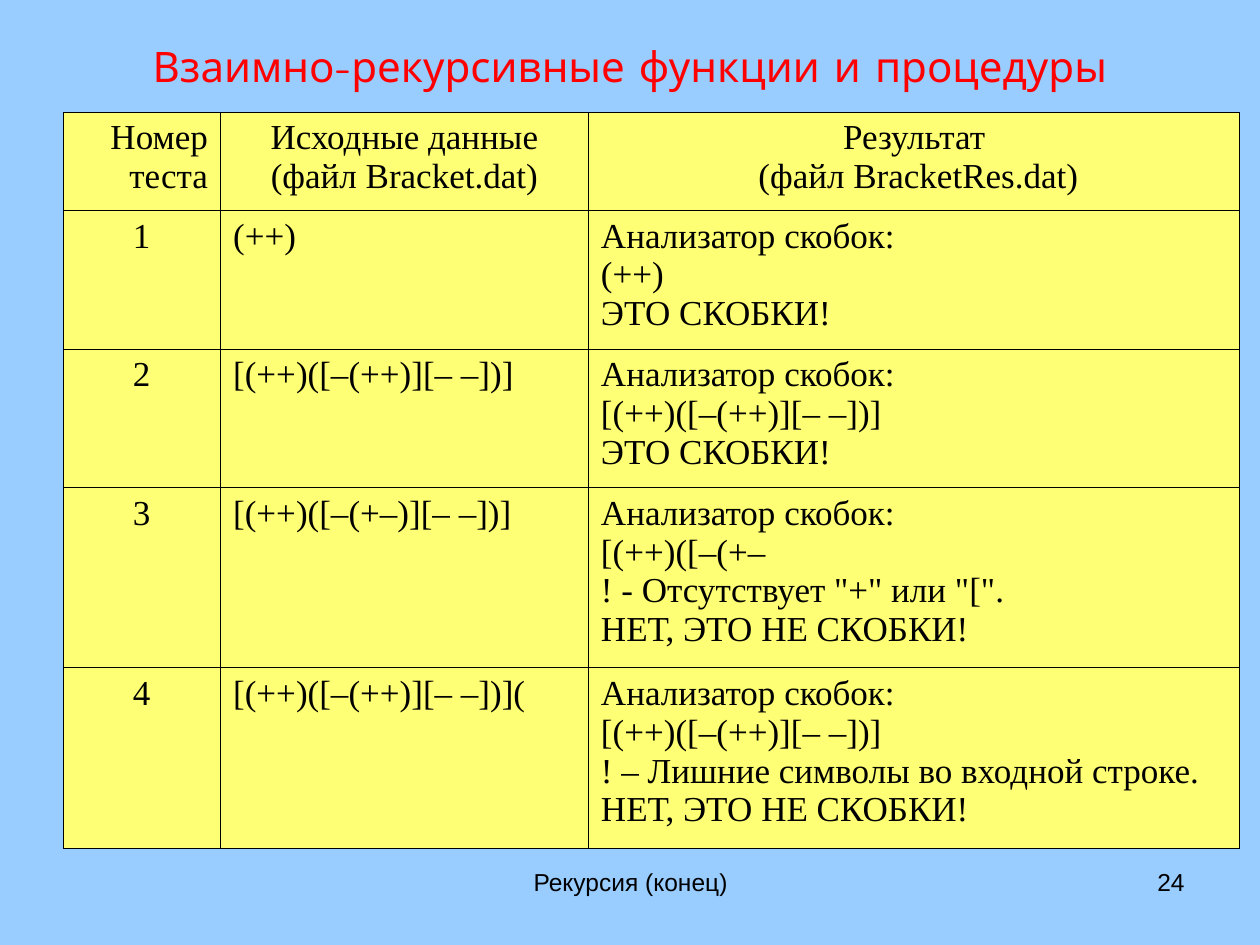
from typing import NamedTuple

from lxml.etree import SubElement
from pptx import Presentation
from pptx.dml.color import RGBColor
from pptx.enum.text import MSO_ANCHOR, MSO_AUTO_SIZE, PP_ALIGN as Align
from pptx.oxml.ns import qn
from pptx.util import Inches, Pt

BLACK, RED, SKY, YELLOW = "000000", "FF0000", "99CCFF", "FFFF75"


class Footer(NamedTuple):
    text: str
    left: float
    width: float
    align: Align


class TestRow(NamedTuple):
    number: str
    source: str
    result: str
    height: float


FOOTERS = [
    Footer("Рекурсия (конец)", 3.42, 3.17, Align.CENTER),
    Footer("24", 7.17, 2.33, Align.RIGHT),
]
COL_WIDTHS = [1.25, 2.92, 5.17]
HEADER_ALIGNS = [Align.RIGHT, Align.CENTER, Align.CENTER]
BODY_ALIGNS = [Align.CENTER, Align.LEFT, Align.LEFT]
ROWS = [
    TestRow("Номер теста", "Исходные данные\n(файл Bracket.dat)",
            "Результат\n (файл BracketRes.dat)", 0.78),
    TestRow("1", "(++)", "Анализатор скобок:\n(++)\nЭТО СКОБКИ!", 1.1),
    TestRow("2", "[(++)([–(++)][– –])]",
            "Анализатор скобок:\n[(++)([–(++)][– –])]\nЭТО СКОБКИ!", 1.1),
    TestRow("3", "[(++)([–(+–)][– –])]",
            "Анализатор скобок:\n[(++)([–(+–\n"
            "! - Отсутствует \"+\" или \"[\".\nНЕТ, ЭТО НЕ СКОБКИ!", 1.43),
    TestRow("4", "[(++)([–(++)][– –])](",
            "Анализатор скобок:\n[(++)([–(++)][– –])]\n"
            "! – Лишние символы во входной строке.\nНЕТ, ЭТО НЕ СКОБКИ!", 1.43),
]


def rgb(color: str) -> RGBColor:
    return RGBColor.from_string(color)


def write(tf, text: str, font: str, size: float, color: str, align: Align) -> None:
    tf.text = text
    for p in tf.paragraphs:
        p.alignment = align
        for r in p.runs:
            r.font.name = font
            r.font.size = Pt(size)
            r.font.color.rgb = rgb(color)


def add_footer(slide, footer: Footer) -> None:
    sp = slide.shapes.add_textbox(Inches(footer.left), Inches(6.83),
                                  Inches(footer.width), Inches(0.52))
    sp.text_frame.word_wrap = True
    write(sp.text_frame, footer.text, "Arial", 14, BLACK, footer.align)


def add_borders(cell, color: str, width: float) -> None:
    tc_pr = cell._tc.get_or_add_tcPr()
    for side in ("a:lnL", "a:lnR", "a:lnT", "a:lnB"):
        ln = SubElement(tc_pr, qn(side), w=str(Pt(width)))
        fill = SubElement(ln, qn("a:solidFill"))
        SubElement(fill, qn("a:srgbClr"), val=color)


def format_cell(cell, text: str, align: Align) -> None:
    add_borders(cell, BLACK, 0.45)
    cell.fill.solid()
    cell.fill.fore_color.rgb = rgb(YELLOW)
    write(cell.text_frame, text, "Times New Roman", 20, BLACK, align)
    # Hanging indent
    for p in cell.text_frame.paragraphs:
        p_pr = p._p.get_or_add_pPr()
        p_pr.set("marL", str(Inches(0.38)))
        p_pr.set("indent", str(-Inches(0.38)))


def add_test_table(slide) -> None:
    heights = [row.height for row in ROWS]
    table = slide.shapes.add_table(
        len(ROWS), len(COL_WIDTHS), Inches(0.5), Inches(0.89),
        Inches(sum(COL_WIDTHS)), Inches(sum(heights))).table
    for column, width in zip(table.columns, COL_WIDTHS):
        column.width = Inches(width)
    for i, row in enumerate(ROWS):
        table.rows[i].height = Inches(row.height)
        aligns = BODY_ALIGNS if i else HEADER_ALIGNS
        texts = (row.number, row.source, row.result)
        for cell, text, align in zip(table.rows[i].cells, texts, aligns):
            format_cell(cell, text, align)


def main() -> None:
    prs = Presentation()
    prs.slide_width, prs.slide_height = Inches(10), Inches(7.5)
    slide = prs.slides.add_slide(prs.slide_layouts[5])
    slide.background.fill.solid()
    slide.background.fill.fore_color.rgb = rgb(SKY)

    # Title
    title = slide.shapes.title
    title.left, title.top = Inches(0.5), Inches(0.3)
    title.width, title.height = Inches(9), Inches(0.45)
    tf = title.text_frame
    tf.auto_size = MSO_AUTO_SIZE.NONE
    tf.vertical_anchor = MSO_ANCHOR.MIDDLE
    write(tf, "Взаимно-рекурсивные функции и процедуры",
          "Comic Neue", 24, RED, Align.CENTER)

    # Test results and footer
    add_test_table(slide)
    for footer in FOOTERS:
        add_footer(slide, footer)

    prs.save("out.pptx")


if __name__ == "__main__":
    main()
